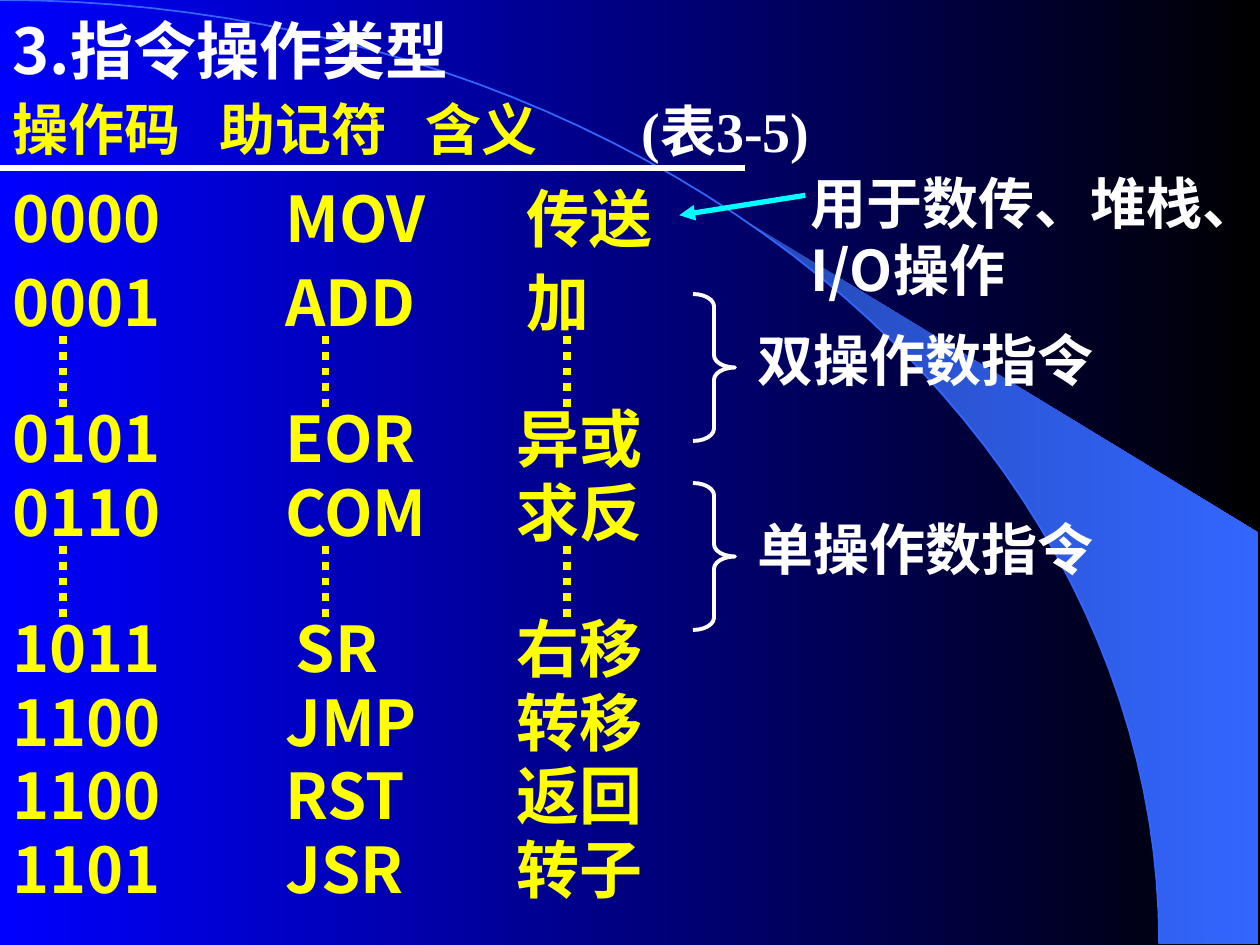
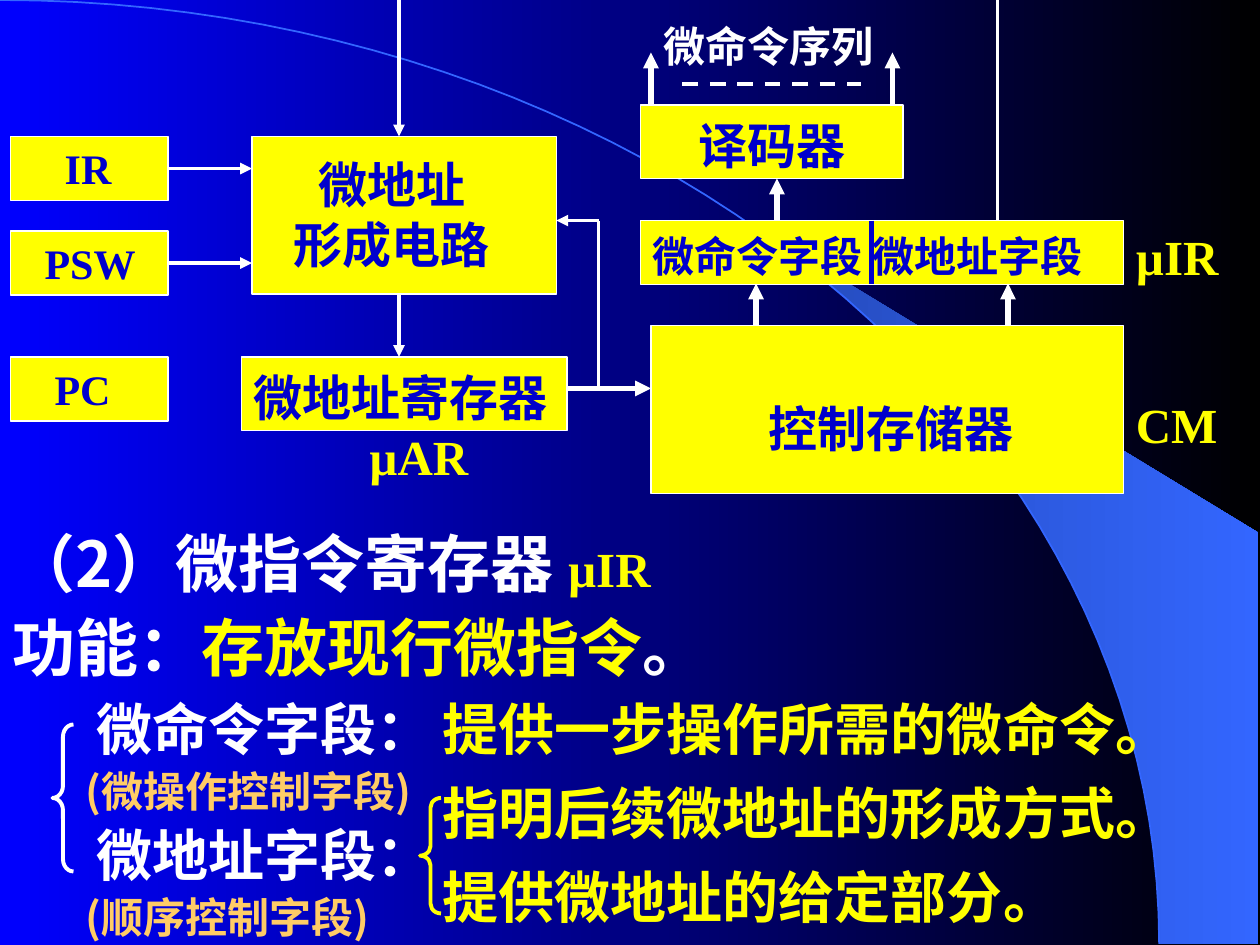
from dataclasses import dataclass
from math import asin, cos, pi, sin

from lxml.etree import SubElement
from pptx import Presentation
from pptx.dml.color import RGBColor
from pptx.enum.dml import MSO_LINE
from pptx.enum.shapes import MSO_CONNECTOR, MSO_SHAPE
from pptx.enum.text import MSO_ANCHOR, MSO_AUTO_SIZE, PP_ALIGN
from pptx.oxml.ns import qn
from pptx.util import Inches, Pt


@dataclass(frozen=True)
class Theme:
    white: str = "FFFFFF"
    yellow: str = "FFFF00"
    navy: str = "0000CC"
    cyan: str = "00FFFF"
    amber: str = "FFCC66"
    arc: str = "3366FF"
    back: tuple = ("0000FF", "000000")
    sweep: tuple = ("2449B6", "3366FF")
    sans: str = "Noto Sans CJK SC"
    serif: str = "Times New Roman"
    head: int = 36
    body: int = 32
    label: int = 28
    small: int = 24
    thin: float = 2.25
    thick: float = 3
    dots: float = 4.5


T = Theme()
GRID = 12
ARC_W, ARC_H = 9.2, 7.49

OPCODE_HEADS = [(0, "操作码"), (19.7, "助记符"), (39.3, "含义")]
OPCODES = [
    (16, "0000", 26, "MOV", 49, "传送"),
    (24, "0001", 26, "ADD", 49, "加"),
    (37, "0101", 26, "EOR", 48, "异或"),
    (44, "0110", 26, "COM", 48, "求反"),
    (57, "1011", 27, "SR", 48, "右移"),
    (64, "1100", 26, "JMP", 48, "转移"),
    (71, "1100", 26, "RST", 48, "返回"),
    (78, "1101", 26, "JSR", 48, "转子"),
]
DOT_COLUMNS, DOT_ROWS = (6, 31, 54), (32, 52)
OPERAND_GROUPS = [(28, "双操作数指令"), (46, "单操作数指令")]

BLOCKS = {
    "IR": (1, 13, 15, 6.1, "IR", dict(size=T.small, left=0.43)),
    "PSW": (1, 22, 15, 6.1, "PSW", dict(size=T.small, left=0.27)),
    "PC": (1, 34, 15, 6.1, "PC", dict(size=T.small, left=0.35)),
    "former": (24, 13, 29, 15, "", {}),
    "address": (23, 34, 31, 7, "微地址寄存器", {}),
    "store": (62, 31, 45, 16, "", {}),
    "decoder": (61, 10, 25, 7, "译码器", dict(left=0.46)),
    "fields": (61, 21, 46, 6.1, "微命令字段 微地址字段", dict(size=T.small, face=T.sans)),
}
DIAGRAM_LABELS = [
    (24, 16, 26.6, "微地址\n形成电路", dict(color=T.navy, pitch=0.6, align=PP_ALIGN.CENTER)),
    (72, 37, 28, "控制存储器", dict(color=T.navy)),
    (34, 40, 16, "µAR", {}),
    (107, 37, 13, "CM", {}),
    (107, 21, 13, "µIR", {}),
    (62, 1, 25, "微命令序列", dict(size=T.small, color=T.white)),
]
WIRES = [
    (72, 31, 72, 27, T.thick, True),
    (96, 31, 96, 27, T.thick, True),
    (74, 21, 74, 17, T.thick, True),
    (62, 10, 62, 5, T.thick, True),
    (85, 10, 85, 5, T.thick, True),
    (54, 37, 62, 37, T.thick, True),
    (57, 37, 57, 21, T.thin, False),
    (57, 21, 53, 21, T.thin, True),
    (38, 28, 38, 34, T.thin, True),
    (38, 0, 38, 13, T.thin, True),
    (95, 0, 95, 21, T.thin, False),
]
NOTES = [
    (0, 59, 22, "功能：", dict(size=T.head, color=T.white)),
    (18, 59, 58, [("存放现行微指令", {}), ("。", dict(color=T.white))], dict(size=T.head)),
    (8, 67, 41, "微命令字段：", dict(color=T.white)),
    (8, 79, 41, "微地址字段：", dict(color=T.white)),
    (41, 67, 79, "提供一步操作所需的微命令。", {}),
    (41, 75, 79, "指明后续微地址的形成方式。", {}),
    (41, 83, 79, "提供微地址的给定部分。", {}),
    (7, 72, 39, "(微操作控制字段)", dict(size=T.small, color=T.amber, pitch=1)),
    (7, 84, 39, "(顺序控制字段)", dict(size=T.small, color=T.amber, pitch=1)),
]


def g(*cells):
    return [Inches(c / GRID) for c in cells]


def rgb(code):
    return RGBColor.from_string(code)


def gradient(fill, colors):
    fill.gradient()
    fill.gradient_angle = 0
    for stop, color, position in zip(fill.gradient_stops, colors, (0, 1)):
        stop.color.rgb = rgb(color)
        stop.position = position


def write(sp, content, size=T.head, color=T.yellow, face=T.sans, pitch=1,
          left=0.1, align=PP_ALIGN.LEFT):
    tf = sp.text_frame
    tf.word_wrap = True
    tf.auto_size = MSO_AUTO_SIZE.NONE
    tf.vertical_anchor = MSO_ANCHOR.TOP
    if isinstance(content, str):
        paragraphs = [[(line, {})] for line in content.split("\n")]
    else:
        paragraphs = [content]
    chinese = any("一" <= c <= "龥" for runs in paragraphs for t, _ in runs for c in t)
    lift = 0.08 * size if chinese or face == T.sans else 0
    tf.margin_top, tf.margin_bottom = Pt(3.6 + lift), 0
    tf.margin_left, tf.margin_right = Inches(left), Inches(0.1)
    for i, runs in enumerate(paragraphs):
        p = tf.add_paragraph() if i else tf.paragraphs[0]
        p.alignment = align
        p.line_spacing = Pt(round(1.2 * pitch * size, 1))
        p.space_before = Pt(size / 2 if i else 0)
        for words, own in runs:
            r = p.add_run()
            r.text = words
            font = r.font
            font.size = Pt(own.get("size", size))
            font.bold = True
            font.color.rgb = rgb(own.get("color", color))
            font.name = own.get("face", face)
            ea = SubElement(r._r.get_or_add_rPr(), qn("a:ea"))
            ea.set("typeface", T.sans)


def text(s, x, y, w, content, **fmt):
    rows = 2 if "\n" in content else 1
    h = (1.2 * fmt.get("size", T.head) * rows + 7.2) / 72 * GRID
    sp = s.shapes.add_textbox(*g(x, y, w, h))
    write(sp, content, **fmt)


def line(s, x1, y1, x2, y2, width=T.thin, color=T.white, arrow=False, dash=None):
    c = s.shapes.add_connector(MSO_CONNECTOR.STRAIGHT, *g(x1, y1, x2, y2))
    c.line.color.rgb = rgb(color)
    c.line.width = Pt(width)
    if dash:
        c.line.dash_style = dash
    if arrow:
        SubElement(c.line._get_or_add_ln(), qn("a:tailEnd")).set("type", "triangle")
    SubElement(c._element.spPr, qn("a:effectLst"))
    return c


def shape(s, kind, x, y, w, h, color=T.white, width=0.75, fill=None):
    sp = s.shapes.add_shape(kind, *g(x, y, w, h))
    sp.shadow.inherit = False
    sp.line.color.rgb = rgb(color)
    sp.line.width = Pt(width)
    if fill:
        sp.fill.solid()
        sp.fill.fore_color.rgb = rgb(fill)
    else:
        sp.fill.background()
    return sp


def brace(s, kind, x, y, w, h, bend, color=T.white):
    sp = shape(s, kind, x, y, w, h, color, T.thin)
    sp.adjustments[0] = bend
    sp.adjustments[1] = 0.5


def arc_points(start, steps=48):
    angles = [start + (pi / 2 - start) * i / steps for i in range(steps + 1)]
    return [(Inches(ARC_W * sin(a)), Inches(ARC_H * (1 - cos(a)))) for a in angles]


def outline(s, points, close):
    builder = s.shapes.build_freeform(*points[0], scale=1.0)
    builder.add_line_segments(points[1:], close=close)
    sp = builder.convert_to_shape()
    sp.shadow.inherit = False
    s.shapes._spTree.insert(2, sp._element)
    return sp


def new_slide(prs, title, x, y, w, h, **fmt):
    s = prs.slides.add_slide(prs.slide_layouts[5])
    arc = outline(s, arc_points(0), False)
    arc.fill.background()
    arc.line.color.rgb = rgb(T.arc)
    arc.line.width = Pt(1)
    corner = [(Inches(9.99), Inches(ARC_H)), (Inches(9.99), Inches(4.23))]
    sweep = outline(s, arc_points(asin(5.89 / ARC_W)) + corner, True)
    gradient(sweep.fill, T.sweep)
    sweep.line.fill.background()
    sp = s.shapes.title
    sp.left, sp.top, sp.width, sp.height = g(x, y, w, h)
    write(sp, title, color=T.white, **fmt)
    return s


def opcode_slide(prs):
    s = new_slide(prs, "3.指令操作类型", 0, 0, 65, 8.4)
    for x, head in OPCODE_HEADS:
        text(s, x, 8, 22, head, size=T.body)
    text(s, 59.9, 8.2, 26, "(表3-5)", size=T.body, color=T.white, face=T.serif)
    line(s, 0, 16, 71, 16, T.thick)
    for y, code, x_name, name, x_meaning, meaning in OPCODES:
        for x, w, words in ((0, 22, code), (x_name, 17, name), (x_meaning, 21, meaning)):
            text(s, x, y, w, words)
    for y in DOT_ROWS:
        for x in DOT_COLUMNS:
            line(s, x, y, x, y + 7, T.dots, T.yellow, dash=MSO_LINE.ROUND_DOT)
    for y, words in OPERAND_GROUPS:
        brace(s, MSO_SHAPE.RIGHT_BRACE, 66, y, 4, 14, 0.292)
        text(s, 71, y + 2, 44, words, size=T.body, color=T.white)
    text(s, 76, 15, 44, "用于数传、堆栈、I/O操作", size=T.body, color=T.white)
    line(s, 76.7, 18.6, 64.7, 20.5, T.thick, T.cyan, arrow=True)


def register_slide(prs):
    title = [("（2）微指令寄存器 ", {}),
             ("µIR", dict(size=T.label, color=T.yellow, face=T.serif))]
    s = new_slide(prs, title, 0, 51, 73, 6.2, pitch=0.7)
    boxes = {}
    for name, (x, y, w, h, words, fmt) in BLOCKS.items():
        boxes[name] = shape(s, MSO_SHAPE.RECTANGLE, x, y, w, h, fill=T.yellow)
        if words:
            write(boxes[name], words, **{**dict(size=T.label, color=T.navy, face=T.serif), **fmt})
    for x, y, w, words, fmt in DIAGRAM_LABELS:
        text(s, x, y, w, words, **{**dict(size=T.label, face=T.serif), **fmt})
    for x1, y1, x2, y2, width, arrow in WIRES:
        line(s, x1, y1, x2, y2, width, arrow=arrow)
    for name in ("IR", "PSW"):
        x, y, w, h = BLOCKS[name][:4]
        c = line(s, x + w, y + h / 2, BLOCKS["former"][0], y + h / 2, arrow=True)
        c.begin_connect(boxes[name], 3)
    line(s, 83, 21, 83, 27, T.thick, T.navy)
    line(s, 65, 8, 82, 8, dash=MSO_LINE.DASH)
    for x, y, w, words, fmt in NOTES:
        text(s, x, y, w, words, **{**dict(size=T.body, pitch=0.7), **fmt})
    brace(s, MSO_SHAPE.LEFT_BRACE, 5, 69, 2, 14, 0.583)
    brace(s, MSO_SHAPE.LEFT_BRACE, 40, 76, 2, 11, 0.458, T.yellow)


def main():
    prs = Presentation()
    prs.slide_width, prs.slide_height = Inches(10), Inches(7.5)
    gradient(prs.slide_master.background.fill, T.back)
    opcode_slide(prs)
    register_slide(prs)
    prs.save("out.pptx")


if __name__ == "__main__":
    main()
